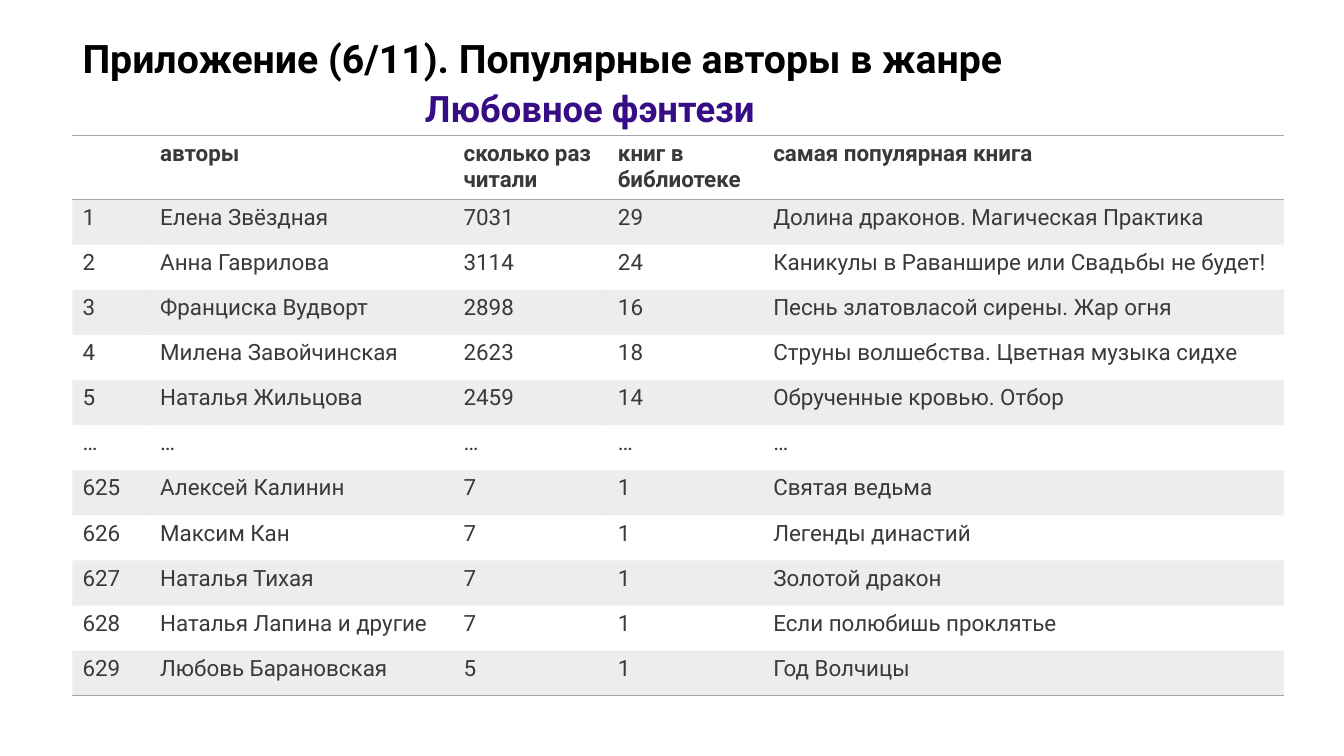
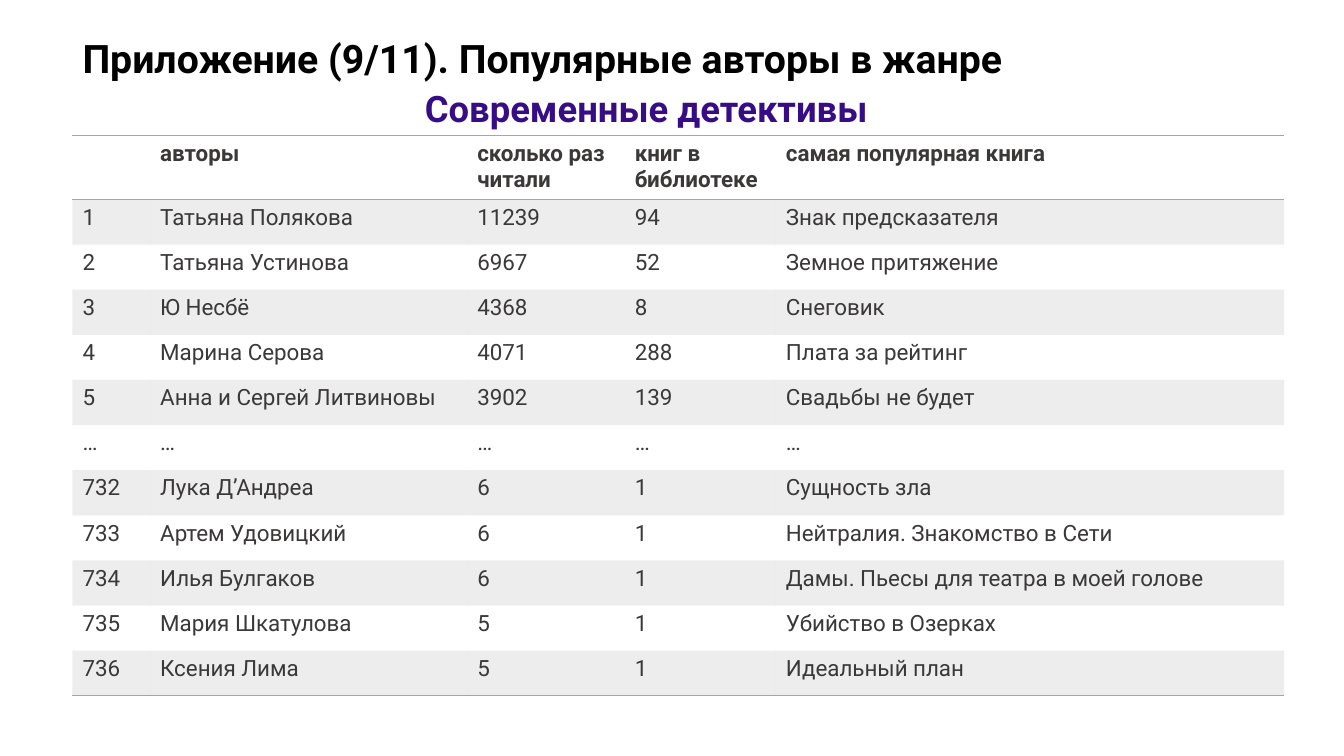
"""Builds two appendix slides that rank popular authors by genre."""
from dataclasses import dataclass

from lxml.etree import SubElement
from pptx import Presentation
from pptx.dml.color import RGBColor
from pptx.enum.text import MSO_ANCHOR as Anchor, MSO_AUTO_SIZE as AutoSize, PP_ALIGN as Align
from pptx.oxml.ns import qn
from pptx.util import Pt

PX = 9525
FONT = "Roboto"
BLACK, VIOLET, TEXT, GREY = "000000", "370D86", "3B3838", "A5A5A5"
LEFT, TABLE_TOP, TABLE_WIDTH = 69, 129, 1154
HEADER_HEIGHT, ROW_HEIGHT = 61, 43
GENRE_INDENT = 326
NO_STYLE = "{2D5ABB26-0587-4C30-8999-92F81FD0307C}"
HEADER = ("", "авторы", "сколько раз читали", "книг в библиотеке", "самая популярная книга")
GAP = ("…",) * len(HEADER)


@dataclass(frozen=True)
class Ranking:
    number: int
    genre: str
    widths: tuple[int, ...]
    rows: tuple[tuple[str, ...], ...]


RANKINGS = (
    Ranking(6, "Любовное фэнтези", (74, 289, 147, 148), (
        ("1", "Елена Звёздная", "7031", "29", "Долина драконов. Магическая Практика"),
        ("2", "Анна Гаврилова", "3114", "24", "Каникулы в Раваншире или Свадьбы не будет!"),
        ("3", "Франциска Вудворт", "2898", "16", "Песнь златовласой сирены. Жар огня"),
        ("4", "Милена Завойчинская", "2623", "18", "Струны волшебства. Цветная музыка сидхе"),
        ("5", "Наталья Жильцова", "2459", "14", "Обрученные кровью. Отбор"),
        GAP,
        ("625", "Алексей Калинин", "7", "1", "Святая ведьма"),
        ("626", "Максим Кан", "7", "1", "Легенды династий"),
        ("627", "Наталья Тихая", "7", "1", "Золотой дракон"),
        ("628", "Наталья Лапина и другие", "7", "1", "Если полюбишь проклятье"),
        ("629", "Любовь Барановская", "5", "1", "Год Волчицы"),
    )),
    Ranking(9, "Современные детективы", (74, 302, 150, 144), (
        ("1", "Татьяна Полякова", "11239", "94", "Знак предсказателя"),
        ("2", "Татьяна Устинова", "6967", "52", "Земное притяжение"),
        ("3", "Ю Несбё", "4368", "8", "Снеговик"),
        ("4", "Марина Серова", "4071", "288", "Плата за рейтинг"),
        ("5", "Анна и Сергей Литвиновы", "3902", "139", "Свадьбы не будет"),
        GAP,
        ("732", "Лука Д’Андреа", "6", "1", "Сущность зла"),
        ("733", "Артем Удовицкий", "6", "1", "Нейтралия. Знакомство в Сети"),
        ("734", "Илья Булгаков", "6", "1", "Дамы. Пьесы для театра в моей голове"),
        ("735", "Мария Шкатулова", "5", "1", "Убийство в Озерках"),
        ("736", "Ксения Лима", "5", "1", "Идеальный план"),
    )),
)


def px(length: int) -> int:
    return length * PX


def color(code: str) -> RGBColor:
    return RGBColor.from_string(code)


def add_span(para, text: str, size: int, code: str, bold: bool) -> None:
    span = para.add_run()
    span.text = text
    span.font.name = FONT
    span.font.size = Pt(size)
    span.font.bold = bold
    span.font.color.rgb = color(code)


def add_solid(parent, code: str):
    fill = SubElement(parent, qn("a:solidFill"))
    return SubElement(fill, qn("a:srgbClr"), val=code)


def format_cell(cell, edges: tuple[str, ...], shaded: bool) -> None:
    properties = cell._tc.get_or_add_tcPr()
    for edge in edges:
        add_solid(SubElement(properties, qn(f"a:{edge}"), w=str(Pt(1))), GREY)
    if shaded:
        SubElement(add_solid(properties, GREY), qn("a:alpha"), val="20000")
    else:
        SubElement(properties, qn("a:noFill"))


def draw_title(page, ranking: Ranking) -> None:
    title = page.shapes.title
    title.left, title.top, title.width, title.height = map(px, (LEFT, 28, 958, 100))
    frame = title.text_frame
    frame.word_wrap = True
    frame.auto_size = AutoSize.NONE
    frame.vertical_anchor = Anchor.MIDDLE
    heading, genre = frame.paragraphs[0], frame.add_paragraph()
    heading.alignment = genre.alignment = Align.LEFT
    add_span(heading, f"Приложение ({ranking.number}/11). Популярные авторы в жанре", 28, BLACK, True)
    genre.space_before = Pt(3.5)
    genre._p.get_or_add_pPr().set("marL", str(px(GENRE_INDENT)))
    add_span(genre, ranking.genre, 26, VIOLET, True)


def draw_table(page, ranking: Ranking) -> None:
    rows = (HEADER, *ranking.rows)
    last = len(rows) - 1
    height = HEADER_HEIGHT + last * ROW_HEIGHT
    table = page.shapes.add_table(
        len(rows), len(HEADER), px(LEFT), px(TABLE_TOP), px(TABLE_WIDTH), px(height)).table
    table.horz_banding = False
    table._tbl.tblPr.find(qn("a:tableStyleId")).text = NO_STYLE
    widths = (*ranking.widths, TABLE_WIDTH - sum(ranking.widths))
    for column, width in zip(table.columns, widths):
        column.width = px(width)
    for index, texts in enumerate(rows):
        table.rows[index].height = px(ROW_HEIGHT if index else HEADER_HEIGHT)
        edges = {0: ("lnT", "lnB"), last: ("lnB",)}.get(index, ())
        for cell, text in zip(table.rows[index].cells, texts):
            format_cell(cell, edges, index % 2 == 1)
            if text:
                add_span(cell.text_frame.paragraphs[0], text, 16, TEXT, index == 0)


def main() -> None:
    deck = Presentation()
    deck.slide_width, deck.slide_height = px(1280), px(720)
    for ranking in RANKINGS:
        page = deck.slides.add_slide(deck.slide_layouts.get_by_name("Title Only"))
        draw_title(page, ranking)
        draw_table(page, ranking)
    deck.save("out.pptx")


if __name__ == "__main__":
    main()
